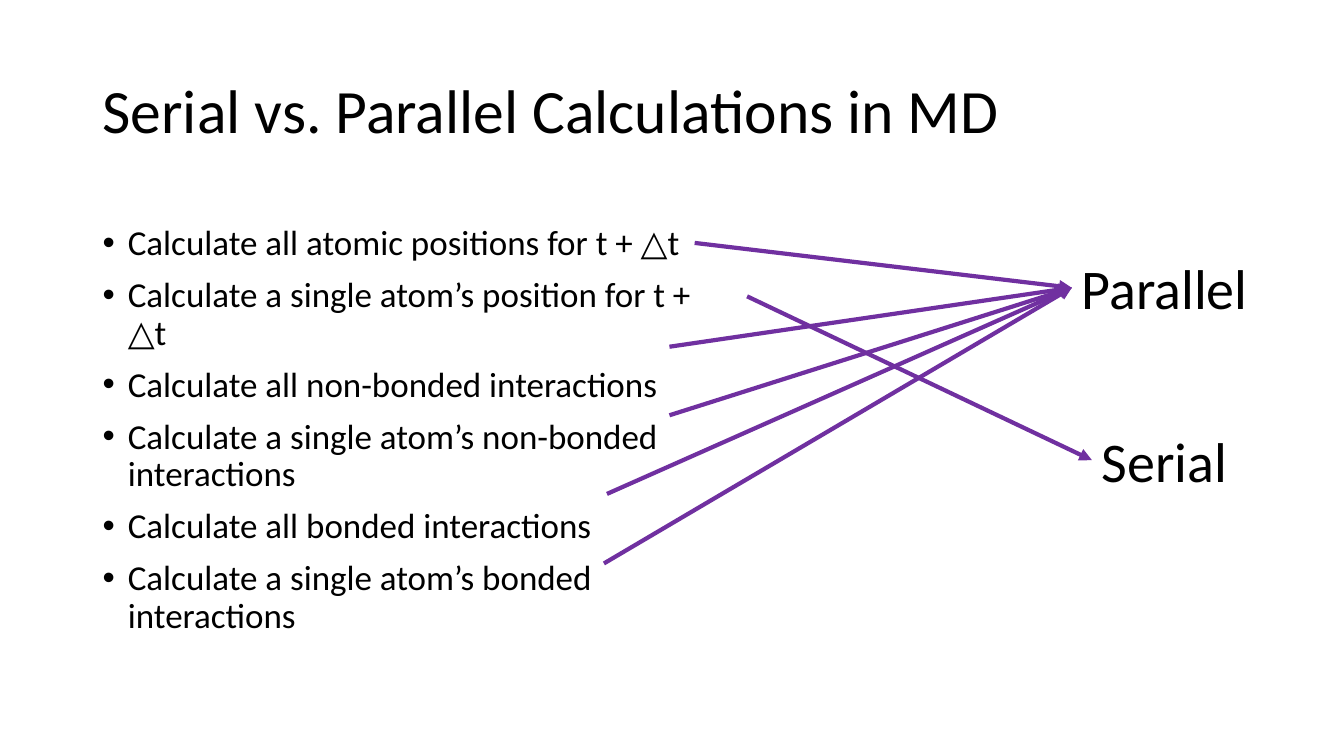
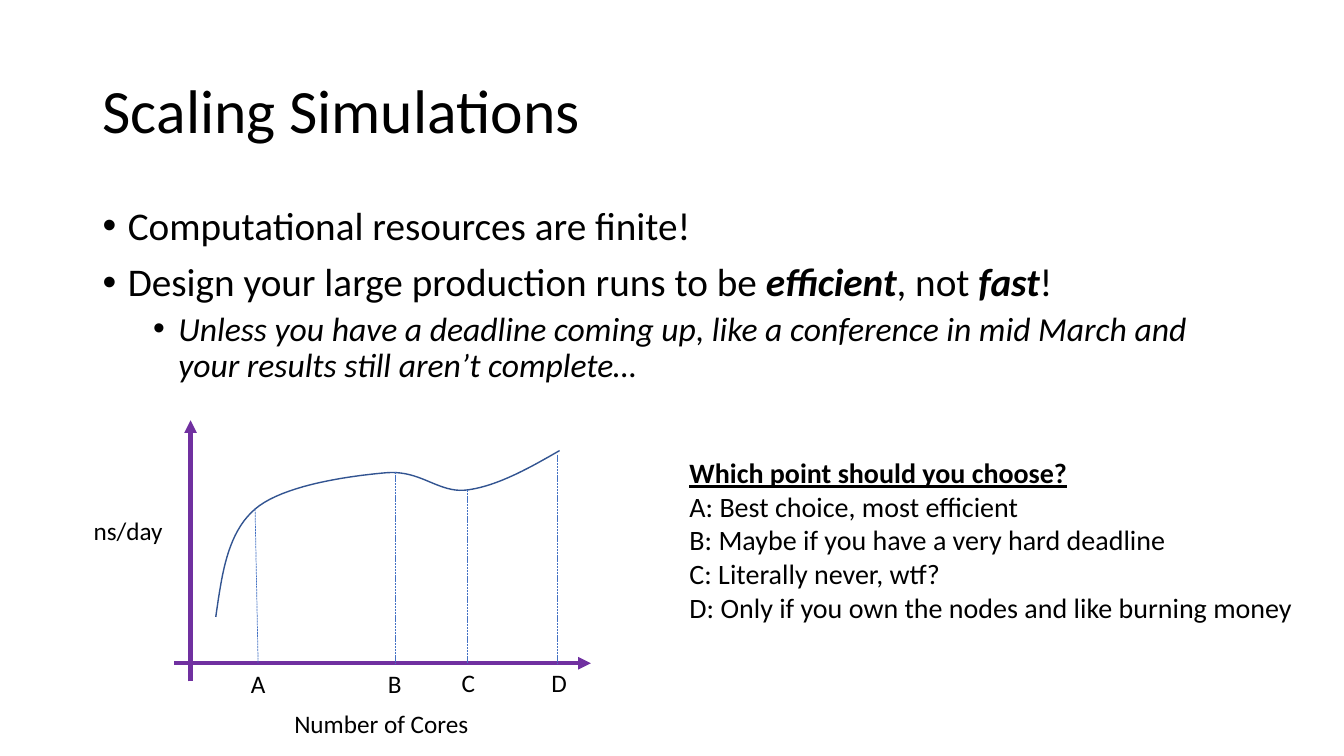
from lxml import etree
from pptx import Presentation
from pptx.dml.color import RGBColor
from pptx.enum.dml import MSO_LINE
from pptx.enum.shapes import MSO_CONNECTOR
from pptx.enum.text import MSO_ANCHOR, MSO_AUTO_SIZE
from pptx.oxml.ns import qn
from pptx.util import Inches, Pt

STRAIGHT = MSO_CONNECTOR.STRAIGHT
DASH = MSO_LINE.SQUARE_DOT
TOP, MIDDLE = MSO_ANCHOR.TOP, MSO_ANCHOR.MIDDLE
FIT, FIXED = MSO_AUTO_SIZE.SHAPE_TO_FIT_TEXT, MSO_AUTO_SIZE.NONE
LEFT_SIDE = 1

COLORS = {"text": "000000", "accent": "7030A0", "curve": "325491", "guide": "4472C4"}
FONT = "Calibri"
EMPHASIS = {"bold": True, "italic": True}


class Deck:
    """Shared style plus the slide being filled."""

    def __init__(self):
        self.prs = Presentation()
        self.prs.slide_width, self.prs.slide_height = Inches(13.33), Inches(7.5)
        self.s = None

    def slide(self, title):
        self.s = self.prs.slides.add_slide(self.prs.slide_layouts[6])
        tf = self.box(0.92, 0.4, 11.5, 1.45, anchor=MIDDLE).text_frame
        tf.paragraphs[0].line_spacing = 0.9
        self.run(tf.paragraphs[0], title, 44)

    def box(self, x, y, w, h, wrap=True, anchor=TOP):
        sp = self.s.shapes.add_textbox(Inches(x), Inches(y), Inches(w), Inches(h))
        tf = sp.text_frame
        tf.word_wrap = wrap
        tf.auto_size = FIXED if wrap else FIT
        tf.vertical_anchor = anchor
        return sp

    def run(self, p, text, size, **fmt):
        r = p.add_run()
        r.text = text
        for name, value in {"name": FONT, "size": Pt(size), **fmt}.items():
            setattr(r.font, name, value)
        r.font.color.rgb = RGBColor.from_string(COLORS["text"])

    def label(self, x, y, w, h, size, *lines):
        """Unwrapped text; each line is (text, format)."""
        sp = self.box(x, y, w, h, wrap=False)
        tf = sp.text_frame
        for i, (text, fmt) in enumerate(lines):
            p = tf.add_paragraph() if i else tf.paragraphs[0]
            self.run(p, text, size, **fmt)
        return sp

    def bullets(self, x, y, w, h, items):
        """Each item is (level, size, [(text, format), ...])."""
        tf = self.box(x, y, w, h).text_frame
        for i, (level, size, runs) in enumerate(items):
            p = tf.add_paragraph() if i else tf.paragraphs[0]
            pPr = p._p.get_or_add_pPr()
            pPr.set("marL", str(Inches(0.25 + 0.5 * level)))
            pPr.set("indent", str(Inches(-0.25)))
            etree.SubElement(pPr, qn("a:buFont")).set("typeface", "Arial")
            etree.SubElement(pPr, qn("a:buChar")).set("char", "•")
            p.level, p.line_spacing = level, 0.9
            if i:
                p.space_before = Pt(5 if level else 10)
            for text, fmt in runs:
                self.run(p, text, size, **fmt)

    def line(self, start, end, color="accent", width=3, dash=None, arrow=True, target=None):
        c = self.s.shapes.add_connector(STRAIGHT, *map(Inches, (*start, *end)))
        if target is not None:
            c.end_connect(target, LEFT_SIDE)
        c.line.color.rgb = RGBColor.from_string(COLORS[color])
        c.line.width = Pt(width)
        if dash:
            c.line.dash_style = dash
        if arrow:
            etree.SubElement(c.line._get_or_add_ln(), qn("a:tailEnd")).set("type", "triangle")
        etree.SubElement(c._element.spPr, qn("a:effectLst"))

    def curve(self, start, segments, steps=20):
        """Open Bézier curve, drawn as short straight steps."""
        points, p0 = [], start
        for p1, p2, p3 in segments:
            for k in range(1, steps + 1):
                t = k / steps
                u = 1 - t
                points.append(tuple(
                    Inches(u**3 * a + 3 * u * u * t * b + 3 * u * t * t * c + t**3 * d)
                    for a, b, c, d in zip(p0, p1, p2, p3)))
            p0 = p3
        fb = self.s.shapes.build_freeform(*map(Inches, start))
        fb.add_line_segments(points, close=False)
        sp = fb.convert_to_shape()
        sp.shadow.inherit = False
        sp.fill.background()
        sp.line.color.rgb = RGBColor.from_string(COLORS["curve"])
        sp.line.width = Pt(1)


def serial_vs_parallel(deck):
    deck.slide("Serial vs. Parallel Calculations in MD")
    tasks = [
        "Calculate all atomic positions for t + △t",
        "Calculate a single atom’s position for t + △t",
        "Calculate all non-bonded interactions",
        "Calculate a single atom’s non-bonded interactions",
        "Calculate all bonded interactions",
        "Calculate a single atom’s bonded interactions",
    ]
    deck.bullets(0.92, 2.19, 6.4, 4.76, [(0, 25, [(task, {})]) for task in tasks])

    # Categories and the arrows leading to them
    serial = deck.label(10.83, 4.18, 1.46, 0.77, 40, ("Serial", {}))
    parallel = deck.label(10.63, 2.47, 1.86, 0.77, 40, ("Parallel", {}))
    arrows = [(6.89, 2.41, parallel), (7.41, 2.94, serial), (6.64, 3.44, parallel),
              (6.64, 4.12, parallel), (6.02, 4.9, parallel), (5.99, 5.59, parallel)]
    for x, y, target in arrows:
        deck.line((x, y), (10.63, 2.86), target=target)


def scaling(deck):
    deck.slide("Scaling Simulations")
    deck.bullets(0.92, 2, 11.5, 4.76, [
        (0, 28, [("Computational resources are finite!", {})]),
        (0, 28, [("Design your large production runs to be ", {}), ("efficient", EMPHASIS),
                 (", not ", {}), ("fast", EMPHASIS), ("!", {})]),
        (1, 24, [("Unless you have a deadline coming up, like a conference in mid March "
                  "and your results still aren’t complete…", {"italic": True})]),
    ])

    # Axes
    base = 6.58
    deck.line((1.89, 6.76), (1.89, 4.17))
    deck.line((1.73, base), (5.86, base))
    deck.label(0.83, 5.06, 0.89, 0.4, 18, ("ns/day", {}))
    deck.label(2.82, 6.98, 1.95, 0.4, 18, ("Number of Cores", {}))

    # Performance curve
    deck.curve((2.14, 6.12), [
        ((2.2, 5.71), (2.25, 5.29), (2.53, 5.05)),
        ((2.81, 4.81), (3.48, 4.72), (3.83, 4.69)),
        ((4.18, 4.66), (4.35, 4.9), (4.64, 4.86)),
        ((4.93, 4.82), (5.24, 4.65), (5.55, 4.47)),
    ])

    # Marked points: name, top of guide, foot of guide, label left, top and width
    for name, top, foot, x, y, w in [("A", (2.53, 5.05), 2.56, 2.39, 6.58, 0.35),
                                     ("B", (3.92, 4.68), 3.92, 3.75, 6.58, 0.34),
                                     ("C", (4.64, 4.86), 4.64, 4.48, 6.57, 0.34),
                                     ("D", (5.53, 4.51), 5.53, 5.37, 6.57, 0.36)]:
        deck.line(top, (foot, base), "guide", 0.5, DASH, arrow=False)
        deck.label(x, y, w, 0.4, 18, (name, {}))

    # Verdicts
    deck.label(6.74, 4.47, 6.23, 1.78, 20,
               ("Which point should you choose?", {"bold": True, "underline": True}),
               ("A: Best choice, most efficient", {}),
               ("B: Maybe if you have a very hard deadline", {}),
               ("C: Literally never, wtf?", {}),
               ("D: Only if you own the nodes and like burning money", {}))


def main():
    deck = Deck()
    serial_vs_parallel(deck)
    scaling(deck)
    deck.prs.save("out.pptx")


if __name__ == "__main__":
    main()
